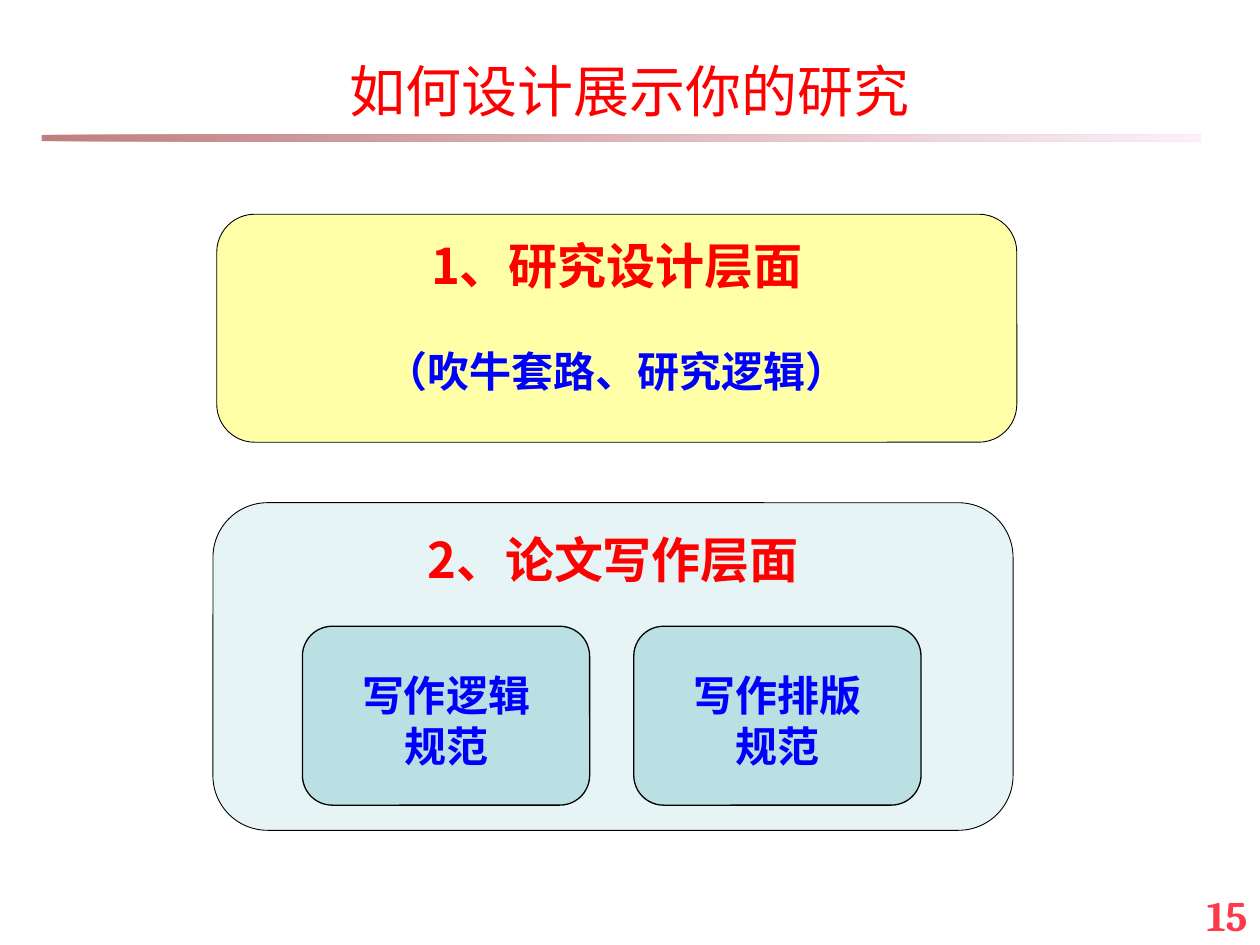
from lxml import etree
from pptx import Presentation
from pptx.dml.color import RGBColor
from pptx.enum.shapes import MSO_SHAPE
from pptx.enum.text import MSO_ANCHOR, MSO_AUTO_SIZE, PP_ALIGN
from pptx.oxml.ns import qn
from pptx.util import Inches, Pt

RECTANGLE = MSO_SHAPE.RECTANGLE
ROUNDED = MSO_SHAPE.ROUNDED_RECTANGLE
TOP, MIDDLE = MSO_ANCHOR.TOP, MSO_ANCHOR.MIDDLE
CENTER, RIGHT = PP_ALIGN.CENTER, PP_ALIGN.RIGHT
NO_AUTOFIT = MSO_AUTO_SIZE.NONE

THEME = {
    "red": "FF0000",
    "blue": "0000FF",
    "black": "000000",
    "yellow": "FFFF00",
    "teal": "BBE0E3",
    "number": "FC3A4C",
    "rule": ("800000", "FAE2F6"),
    "font": "Noto Sans CJK SC",
    "number_font": "Cambria",
    "title_size": 32,
    "heading_size": 28,
    "body_size": 24,
}


def add_text(para, text, size, color, bold=True, font=THEME["font"], align=CENTER, line=None):
    para.alignment = align
    if line:
        para.line_spacing = Pt(line)
    span = para.add_run()
    span.text = text
    span.font.size = Pt(size)
    span.font.bold = bold
    span.font.name = font
    span.font.color.rgb = RGBColor.from_string(color)
    east_asian = etree.SubElement(span.font._element, qn("a:ea"))
    east_asian.set("typeface", font)


def add_box(kind, place, fill, outline=None, opacity=100, anchor=TOP):
    box = page.shapes.add_shape(kind, *(Inches(value) for value in place))
    box.shadow.inherit = False
    if isinstance(fill, tuple):
        box.fill.gradient()
        box.fill.gradient_angle = 0
        for stop, color in zip(box.fill.gradient_stops, fill):
            stop.color.rgb = RGBColor.from_string(color)
    else:
        box.fill.solid()
        box.fill.fore_color.rgb = RGBColor.from_string(fill)
    if opacity < 100:
        for color in box._element.spPr.iter(qn("a:srgbClr")):
            etree.SubElement(color, qn("a:alpha")).set("val", str(opacity * 1000))
    if outline:
        box.line.color.rgb = RGBColor.from_string(THEME["black"])
        box.line.width = Pt(outline)
    else:
        box.line.fill.background()
    box.text_frame.word_wrap = False
    box.text_frame.vertical_anchor = anchor
    return box


deck = Presentation()
deck.slide_width, deck.slide_height = Inches(10), Inches(7.5)
page = deck.slides.add_slide(deck.slide_layouts[5])

add_box(RECTANGLE, (0.33, 1.07, 9.2, 0.05), THEME["rule"], opacity=50)

number = page.shapes.add_textbox(Inches(7.67), Inches(7.04), Inches(2.33), Inches(0.44))
number.text_frame.word_wrap = True
number.text_frame.vertical_anchor = MIDDLE
add_text(number.text_frame.paragraphs[0], "15", THEME["body_size"], THEME["number"],
         font=THEME["number_font"], align=RIGHT)

title = page.shapes.title
title.left, title.top = Inches(0), Inches(0.08)
title.width, title.height = Inches(10), Inches(1.02)
title.text_frame.auto_size = NO_AUTOFIT
title.text_frame.vertical_anchor = MIDDLE
add_text(title.text_frame.paragraphs[0], "如何设计展示你的研究", THEME["title_size"],
         THEME["red"], bold=False, line=56)

panels = [
    ("1、研究设计层面", "（吹牛套路、研究逻辑）", (1.72, 1.7, 6.35, 1.81), THEME["yellow"]),
    ("2、论文写作层面", None, (1.69, 3.99, 6.35, 2.6), THEME["teal"]),
]
for heading, detail, place, color in panels:
    panel = add_box(ROUNDED, place, color, outline=0.5, opacity=34)
    add_text(panel.text_frame.paragraphs[0], heading, THEME["heading_size"], THEME["red"], line=36)
    if detail:
        para = panel.text_frame.add_paragraph()
        para.space_before = Pt(29)
        add_text(para, detail, THEME["body_size"], THEME["blue"], line=29)

for column, topic in enumerate(("写作逻辑", "写作排版")):
    card = add_box(ROUNDED, (2.4 + column * 2.63, 4.97, 2.28, 1.42), THEME["teal"],
                   outline=0.75, anchor=MIDDLE)
    add_text(card.text_frame.paragraphs[0], topic, THEME["body_size"], THEME["blue"], line=34)
    add_text(card.text_frame.add_paragraph(), "规范", THEME["body_size"], THEME["blue"], line=29)

deck.save("out.pptx")
